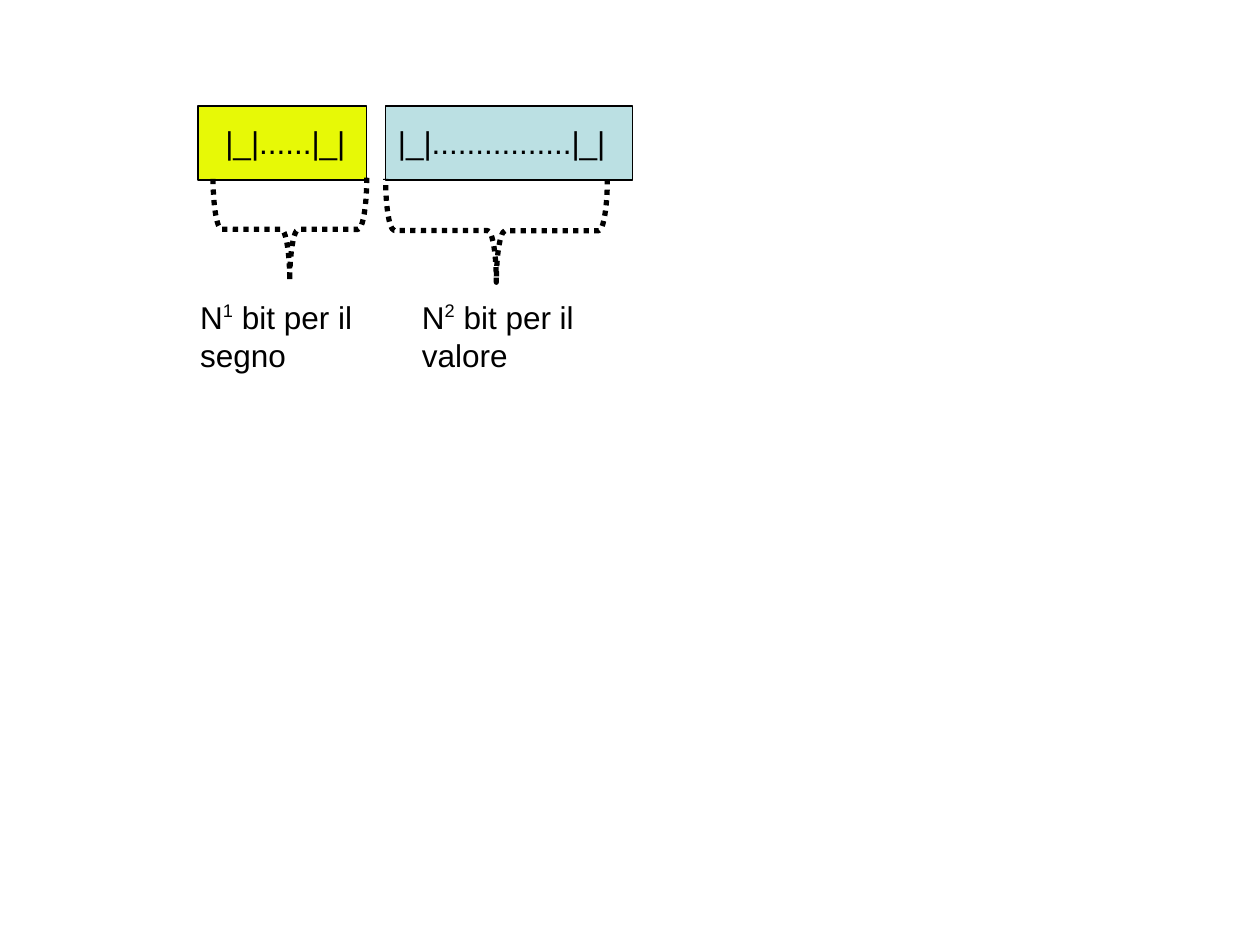
from dataclasses import dataclass
from pptx import Presentation
from pptx.dml.color import RGBColor
from pptx.enum.dml import MSO_LINE
from pptx.enum.shapes import MSO_SHAPE
from pptx.util import Inches, Pt

BLACK = RGBColor(0x00, 0x00, 0x00)
WHITE = RGBColor(0xFF, 0xFF, 0xFF)
YELLOW = RGBColor(0xE7, 0xF9, 0x06)
BLUE = RGBColor(0xBB, 0xE0, 0xE3)
FONT = {"name": "Arial", "size": Pt(18)}


@dataclass
class Field:
    left: float
    width: float
    fill: RGBColor
    bits: str
    bits_left: float
    bits_width: float
    brace: tuple[float, float, float, float]
    note_left: float
    index: str
    note: str


FIELDS = [
    Field(3.06, 1.96, BLUE, "|_|" + "." * 16 + "|_|", 3.06, 1.88,
          (3.53, 0.95, 0.82, 1.76), 3.25, "2", " bit per il valore"),
    Field(1.57, 1.34, YELLOW, "|_|" + "." * 6 + "|_|", 1.69, 1.21,
          (1.89, 1.21, 0.82, 1.22), 1.49, "1", " bit per il segno"),
]


def add_shape(slide, kind: MSO_SHAPE, box: tuple, weight: float):
    shape = slide.shapes.add_shape(kind, *map(Inches, box))
    shape.shadow.inherit = False
    shape.line.color.rgb = BLACK
    shape.line.width = Pt(weight)
    return shape


def add_box(slide, field: Field) -> None:
    box = add_shape(slide, MSO_SHAPE.RECTANGLE,
                    (field.left, 0.84, field.width, 0.59), 1)
    box.fill.solid()
    box.fill.fore_color.rgb = field.fill


def add_brace(slide, field: Field) -> None:
    brace = add_shape(slide, MSO_SHAPE.LEFT_BRACE, field.brace, 3)
    brace.fill.background()
    brace.line.dash_style = MSO_LINE.ROUND_DOT
    brace.rotation = 270.1
    brace.adjustments[0] = 0.085
    brace.adjustments[1] = 0.5


def add_text(slide, box: tuple, parts: list[tuple[str, int]]) -> None:
    frame = slide.shapes.add_textbox(*map(Inches, box)).text_frame
    frame.word_wrap = True
    frame.margin_right = 0
    for text, base in parts:
        run = frame.paragraphs[0].add_run()
        run.text = text
        for key, value in FONT.items():
            setattr(run.font, key, value)
        run.font.color.rgb = BLACK
        if base:
            run._r.get_or_add_rPr().set("baseline", str(base * 1000))


def main() -> None:
    deck = Presentation()
    deck.slide_width, deck.slide_height = Inches(10), Inches(7.5)
    slide = deck.slides.add_slide(deck.slide_layouts[6])
    slide.background.fill.solid()
    slide.background.fill.fore_color.rgb = WHITE
    for field in FIELDS:
        add_box(slide, field)
    for field in reversed(FIELDS):
        add_brace(slide, field)
    for field in reversed(FIELDS):
        add_text(slide, (field.bits_left, 0.93, field.bits_width, 0.4),
                 [(field.bits, 0)])
    for field in reversed(FIELDS):
        add_text(slide, (field.note_left, 2.32, 1.57, 0.7),
                 [("N", 0), (field.index, 40), (field.note, 0)])
    deck.save("out.pptx")


main()
